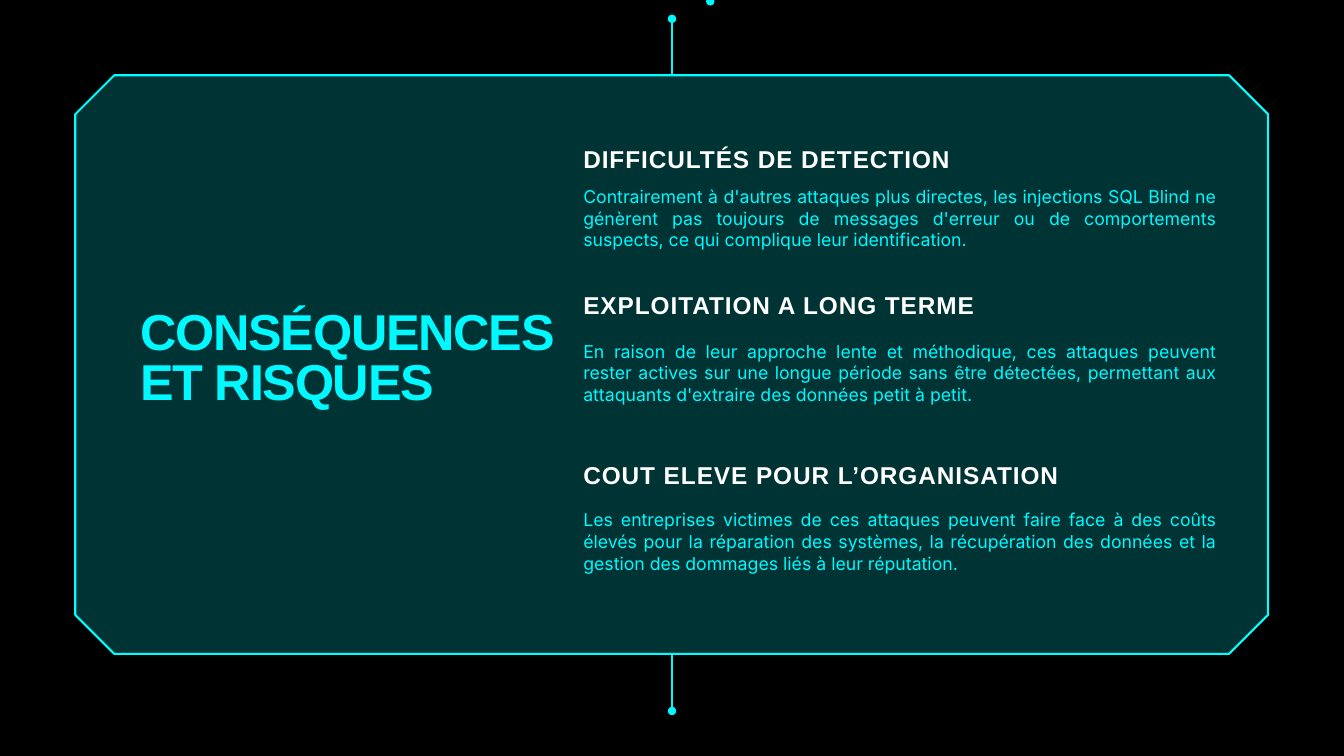
"""Build the slide on the consequences and risks of blind SQL injection."""
import lxml.etree
import pptx
import pptx.dml.color
import pptx.enum.text
import pptx.oxml.ns
import pptx.util

PX = 9144
THEME = {
    "background": "000000", "panel": "003333", "edge": "01FFFF",
    "accent": "00F9FF", "heading": "FFFFFF",
    "display_font": "Arial", "body_font": "Inter",
    "title_size": 54, "heading_size": 26.1, "body_size": 19,
}


def color(key):
    return pptx.dml.color.RGBColor.from_string(THEME[key])


def add_text(text, left, top, width, height, *, font, size, fill, leading,
             bold=False, tracking=0, align=pptx.enum.text.PP_ALIGN.LEFT):
    box = slide.shapes.add_textbox(left * PX, top * PX, width * PX, height * PX)
    frame = box.text_frame
    frame.word_wrap = True
    frame.margin_left = frame.margin_right = frame.margin_top = frame.margin_bottom = 0
    paragraph = frame.paragraphs[0]
    paragraph.alignment = align
    paragraph.line_spacing = pptx.util.Pt(leading)
    run = paragraph.add_run()
    run.text = text
    run.font.name = THEME[font]
    run.font.size = pptx.util.Pt(THEME[size])
    run.font.bold = bold
    run.font.color.rgb = color(fill)
    if tracking:
        run._r.get_or_add_rPr().set("spc", str(tracking))


deck = pptx.Presentation()
deck.slide_width = 2000 * PX
deck.slide_height = 1125 * PX
slide = deck.slides.add_slide(deck.slide_layouts[6])
slide.background.fill.solid()
slide.background.fill.fore_color.rgb = color("background")

left, top, right, bottom, cut = 112, 112, 1887, 973, 58

for x, dot_y, end_y in [(1000, 1058, bottom), (1000, 28, top), (1057, 2, -83)]:
    antenna = slide.shapes.add_connector(
        pptx.enum.shapes.MSO_CONNECTOR.STRAIGHT, x * PX, dot_y * PX, x * PX, end_y * PX)
    antenna.line.color.rgb = color("accent")
    antenna.line.width = pptx.util.Pt(3)
    outline = antenna.line._get_or_add_ln()
    lxml.etree.SubElement(outline, pptx.oxml.ns.qn("a:headEnd"), type="oval")
    lxml.etree.SubElement(antenna._element.spPr, pptx.oxml.ns.qn("a:effectLst"))

corners = [
    (right - cut, top), (left + cut, top), (left, top + cut), (left, bottom - cut),
    (left + cut, bottom), (right - cut, bottom), (right, bottom - cut), (right, top + cut),
]
builder = slide.shapes.build_freeform(*corners[0], scale=PX)
builder.add_line_segments(corners[1:], close=True)
panel = builder.convert_to_shape()
panel.shadow.inherit = False
panel.fill.solid()
panel.fill.fore_color.rgb = color("panel")
panel.line.color.rgb = color("edge")
panel.line.width = pptx.util.Pt(2.25)

add_text("CONSÉQUENCES ET RISQUES", 209, 461, 659, 155, font="display_font",
         size="title_size", fill="accent", leading=54, bold=True, tracking=-140)

risks = [
    (228, 276, "DIFFICULTÉS DE DETECTION",
     "Contrairement à d'autres attaques plus directes, les injections SQL Blind ne "
     "génèrent pas toujours de messages d'erreur ou de comportements suspects, "
     "ce qui complique leur identification."),
    (445, 506, "EXPLOITATION A LONG TERME",
     "En raison de leur approche lente et méthodique, ces attaques peuvent rester "
     "actives sur une longue période sans être détectées, permettant aux attaquants "
     "d'extraire des données petit à petit."),
    (698, 757, "COUT ELEVE POUR L’ORGANISATION",
     "Les entreprises victimes de ces attaques peuvent faire face à des coûts élevés "
     "pour la réparation des systèmes, la récupération des données et la gestion des "
     "dommages liés à leur réputation."),
]
for heading_top, body_top, heading, body in risks:
    add_text(heading, 868, heading_top, 808, 34, font="display_font",
             size="heading_size", fill="heading", leading=22.1, bold=True, tracking=100)
    add_text(body, 868, body_top, 942, 95, font="body_font", size="body_size",
             fill="accent", leading=23.2, align=pptx.enum.text.PP_ALIGN.JUSTIFY)

deck.save("out.pptx")
